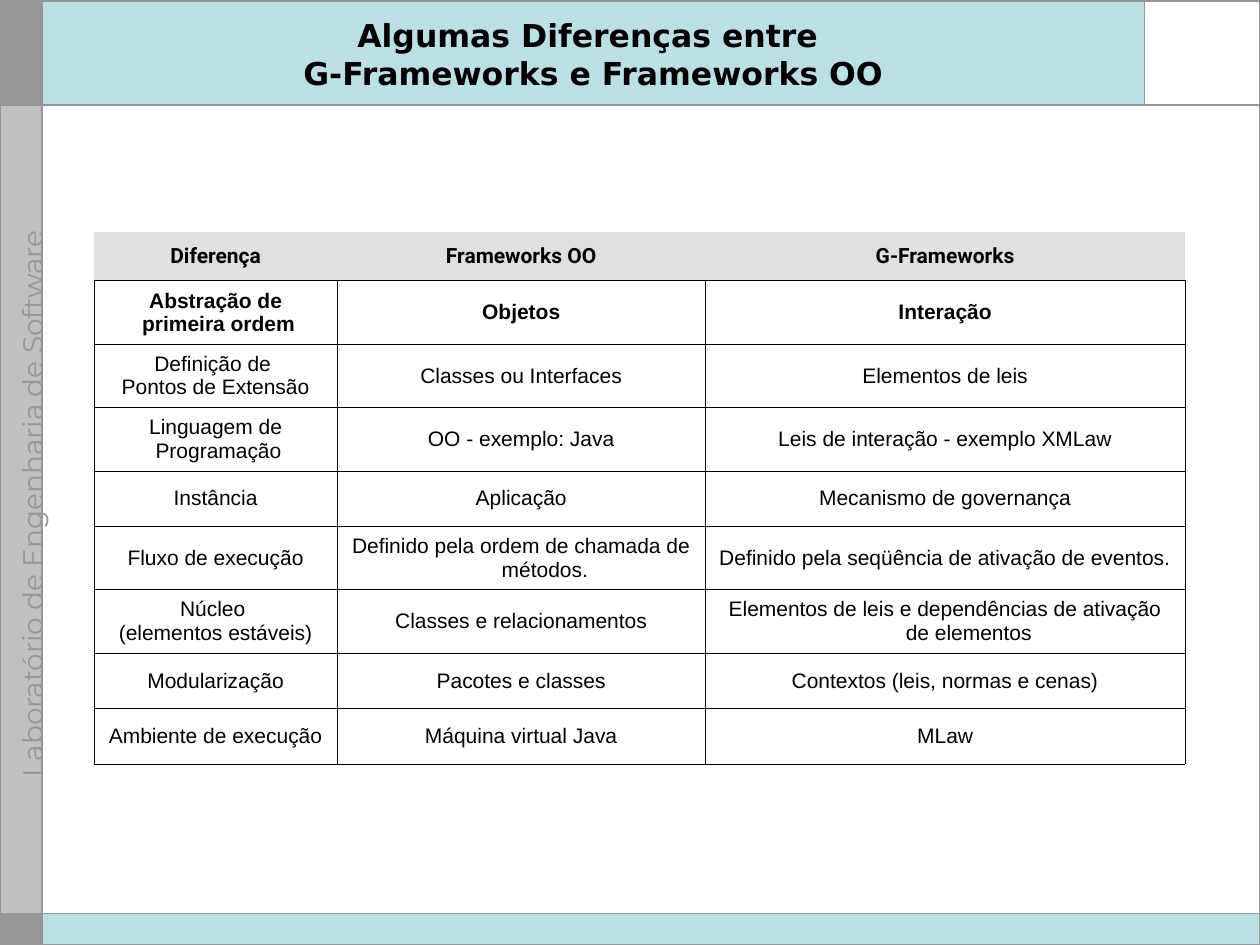
import pptx
import pptx.util
import pptx.dml.color
import pptx.enum.shapes
import pptx.enum.text
import pptx.oxml
import pptx.oxml.ns
import lxml.etree

Pt = pptx.util.Pt
RGB = pptx.dml.color.RGBColor
Align = pptx.enum.text.PP_ALIGN
Anchor = pptx.enum.text.MSO_ANCHOR
qn = pptx.oxml.ns.qn

BLACK = RGB(0, 0, 0)
WHITE = RGB(255, 255, 255)
GRAY = RGB(0x96, 0x96, 0x96)
SILVER = RGB(0xC0, 0xC0, 0xC0)
PALE = RGB(0xE0, 0xE0, 0xE0)
AQUA = RGB(0xBB, 0xE0, 0xE3)

WIDE, HIGH = 720, 540
SIDE = 24       # width of the left strip
TOP = 60        # height of the title band
FOOT = 522      # top of the bottom band
SPLIT = 654     # left edge of the white corner

TITLE = "Algumas Diferenças entre \vG-Frameworks e Frameworks OO"
LAB = "Laboratório de Engenharia de Software"
LAB_X, LAB_Y = 11.5, 288    # centre of the turned label
LAB_WIDE, LAB_HIGH = 340, 13

ROWS = [
    ("Diferença", "Frameworks OO", "G-Frameworks"),
    ("Abstração de\n primeira ordem", "Objetos", "Interação"),
    ("Definição de \nPontos de Extensão", "Classes ou Interfaces",
     "Elementos de leis"),
    ("Linguagem de\n Programação", "OO - exemplo: Java",
     "Leis de interação - exemplo XMLaw"),
    ("Instância", "Aplicação", "Mecanismo de governança"),
    ("Fluxo de execução", "Definido pela ordem de chamada de métodos.",
     "Definido pela seqüência de ativação de eventos."),
    ("Núcleo \n(elementos estáveis)", "Classes e relacionamentos",
     "Elementos de leis e dependências de ativação de elementos"),
    ("Modularização", "Pacotes e classes", "Contextos (leis, normas e cenas)"),
    ("Ambiente de execução", "Máquina virtual Java", "MLaw"),
]
COLS = [139, 210.25, 274.25]
HEAD, TALL, LOW = 28, 36.2, 31.7
TALLS = [HEAD, TALL, TALL, TALL, LOW, TALL, TALL, LOW, LOW]

# left, top, width, height, fill, line colour
BANDS = [
    (0.5, 0.5, SIDE - 0.5, TOP, GRAY, GRAY),
    (SIDE, 0, WIDE - SIDE, TOP, AQUA, None),
    (0.5, TOP, SIDE - 0.5, FOOT - TOP, SILVER, SILVER),
    (SPLIT, 0, WIDE - SPLIT, TOP, WHITE, None),
    (SIDE, FOOT, WIDE - SIDE, HIGH - FOOT, AQUA, None),
    (0.5, FOOT, SIDE - 0.5, HIGH - FOOT - 0.5, GRAY, GRAY),
]
RULES = [
    (SPLIT, 0, SPLIT, TOP),
    (0, TOP, WIDE, TOP),
    (SIDE, 0, SIDE, HIGH),
    (0, FOOT, WIDE, FOOT),
]


def add_box(slide, left, top, wide, high, fill, line, thick=0.75):
    box = slide.shapes.add_shape(pptx.enum.shapes.MSO_SHAPE.RECTANGLE,
                                 Pt(left), Pt(top), Pt(wide), Pt(high))
    box.shadow.inherit = False
    for part, tint in ((box.fill, fill), (box.line.fill, line)):
        if tint is None:
            part.background()
        else:
            part.solid()
            part.fore_color.rgb = tint
    if line is not None:
        box.line.width = Pt(thick)


def add_rule(slide, *ends):
    rule = slide.shapes.add_connector(
        pptx.enum.shapes.MSO_CONNECTOR.STRAIGHT, *map(Pt, ends))
    rule.line.color.rgb = GRAY
    rule.line.width = Pt(1)
    lxml.etree.SubElement(rule._element.spPr, qn("a:effectLst"))


def set_font(para, name, size, tint, bold=False):
    font = para.font
    font.name, font.size, font.bold = name, Pt(size), bold
    font.color.rgb = tint


def add_text(slide, left, top, wide, high, text, wrap):
    """Add a text box with one centred paragraph; return box and paragraph."""
    box = slide.shapes.add_textbox(Pt(left), Pt(top), Pt(wide), Pt(high))
    box.text_frame.word_wrap = wrap
    box.text_frame.text = text
    para = box.text_frame.paragraphs[0]
    para.alignment = Align.CENTER
    return box, para


def set_edges(cell, shown):
    """Draw the sides named in shown (of L, R, T, B) and clear the others."""
    props = cell._tc.get_or_add_tcPr()
    for spot, side in enumerate("LRTB"):
        edge = lxml.etree.Element(qn("a:ln" + side), w=str(Pt(0.45)))
        if side in shown:
            fill = lxml.etree.SubElement(edge, qn("a:solidFill"))
            lxml.etree.SubElement(fill, qn("a:srgbClr"), val=str(BLACK))
        else:
            lxml.etree.SubElement(edge, qn("a:noFill"))
        props.insert(spot, edge)


def fill_cell(cell, text, row):
    cell.text = text
    cell.vertical_anchor = Anchor.MIDDLE
    for para in cell.text_frame.paragraphs:
        para.alignment = Align.CENTER
        hang = para._p.get_or_add_pPr()
        hang.set("marL", str(Pt(27)))
        hang.set("indent", str(Pt(-27)))
        set_font(para, "Arial" if row else "Roboto", 12, BLACK, row < 2)
    if row:
        cell.fill.background()
    else:
        cell.fill.solid()
        cell.fill.fore_color.rgb = PALE
    set_edges(cell, "LRTB" if row else "B")


def add_grid(slide, left, top):
    grid = slide.shapes.add_table(len(ROWS), len(COLS), Pt(left), Pt(top),
                                  Pt(sum(COLS)), Pt(sum(TALLS))).table
    grid.first_row = grid.horz_banding = False
    for col, wide in zip(grid.columns, COLS):
        col.width = Pt(wide)
    for row, high in zip(grid.rows, TALLS):
        row.height = Pt(high)
    for r, texts in enumerate(ROWS):
        for c, text in enumerate(texts):
            fill_cell(grid.cell(r, c), text, r)


def main():
    deck = pptx.Presentation()
    deck.slide_width, deck.slide_height = Pt(WIDE), Pt(HIGH)
    slide = deck.slides.add_slide(deck.slide_layouts[6])

    for band in BANDS:
        add_box(slide, *band)
    lab, para = add_text(slide, LAB_X - LAB_WIDE / 2, LAB_Y - LAB_HIGH / 2,
                         LAB_WIDE, LAB_HIGH, LAB, False)
    lab.rotation = 270
    set_font(para, "Montserrat", 16, GRAY)
    for ends in RULES:
        add_rule(slide, *ends)
    add_box(slide, 0, 0.5, WIDE, HIGH - 0.5, None, GRAY, 1)

    title, para = add_text(slide, 30, 8.5, 618, 45, TITLE, True)
    title.text_frame.vertical_anchor = Anchor.MIDDLE
    set_font(para, "DejaVu Sans", 18, BLACK, True)

    add_grid(slide, 53.75, 132.5)
    deck.save("out.pptx")


if __name__ == "__main__":
    main()
